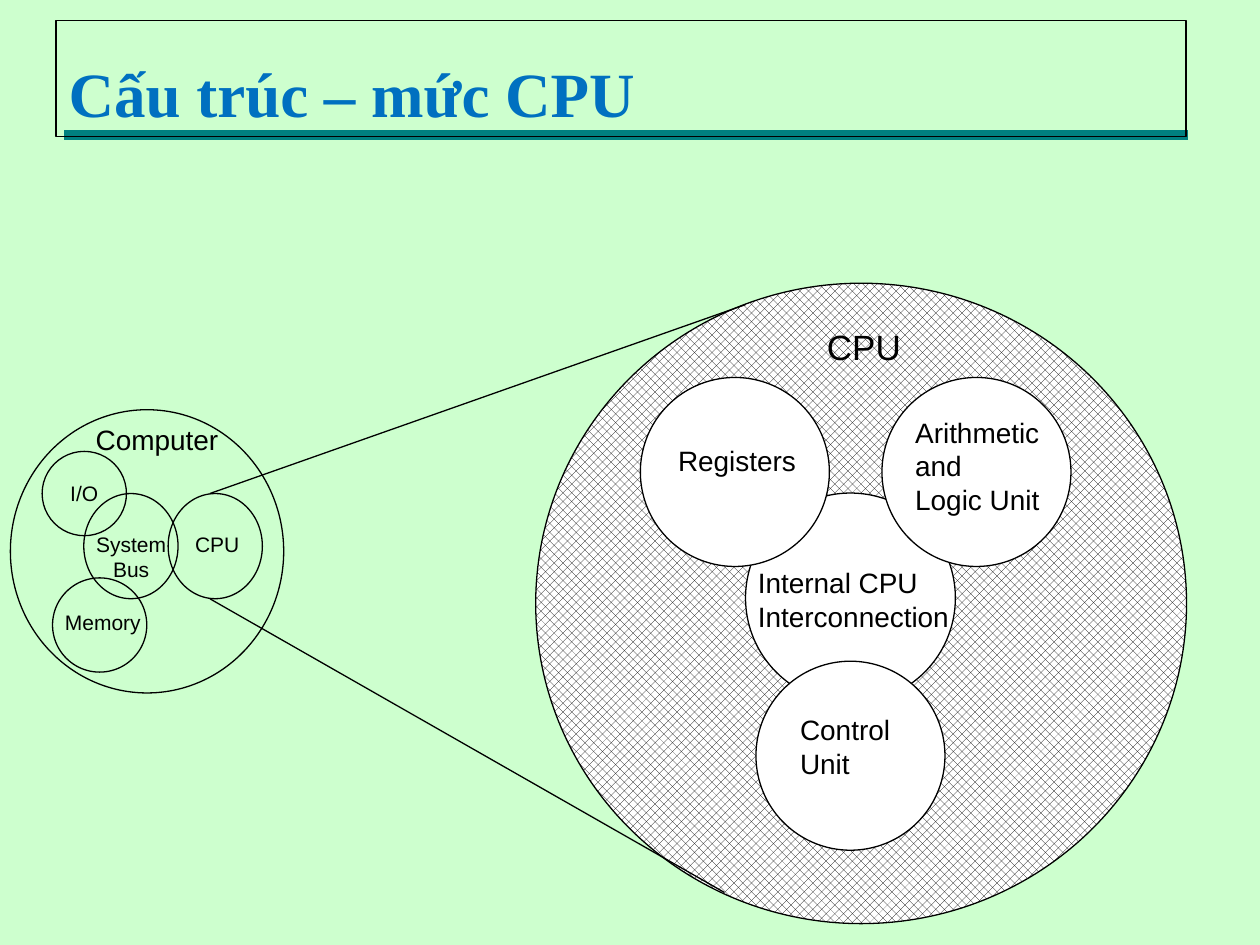
import pptx
import pptx.util
import pptx.dml.color
import pptx.enum.dml
import pptx.enum.shapes
import pptx.enum.text
import lxml.etree

Cm, Pt = pptx.util.Cm, pptx.util.Pt
ALIGN = pptx.enum.text.PP_ALIGN
ANCHOR = pptx.enum.text.MSO_ANCHOR
BLACK, WHITE, MINT = "000000", "FFFFFF", "CDFFCE"
TEAL, BLUE = "008080", "0070C0"


def color(code):
    return pptx.dml.color.RGBColor.from_string(code)


def stroke(line, code=BLACK, width=0.75):
    line.color.rgb = color(code)
    line.width = Pt(width)


def place(box, part):
    """Turn a part given relative to its box into slide lengths."""
    left, top, width, height = part
    return Cm(box[0] + left), Cm(box[1] + top), Cm(width), Cm(height)


def write(frame, text, size, mid):
    frame.text = text
    frame.word_wrap = False
    frame.vertical_anchor = ANCHOR.MIDDLE if mid else ANCHOR.TOP
    for para in frame.paragraphs:
        para.alignment = ALIGN.CENTER if mid else ALIGN.LEFT
        for run in para.runs:
            run.font.name = "Arial"
            run.font.size = Pt(size)
            run.font.color.rgb = color(BLACK)


def disc(slide, box, part, fill=None):
    oval = slide.shapes.add_shape(
        pptx.enum.shapes.MSO_SHAPE.OVAL, *place(box, part))
    oval.shadow.inherit = False
    stroke(oval.line)
    if fill:
        oval.fill.solid()
        oval.fill.fore_color.rgb = color(fill)
    else:
        oval.fill.background()
    return oval


def label(slide, box, part, text, size=16, mid=False):
    note = slide.shapes.add_textbox(*place(box, part))
    write(note.text_frame, text, size, mid)
    note.text_frame.auto_size = pptx.enum.text.MSO_AUTO_SIZE.SHAPE_TO_FIT_TEXT


def link(slide, start, end, code=BLACK, width=0.75):
    line = slide.shapes.add_connector(
        pptx.enum.shapes.MSO_CONNECTOR.STRAIGHT,
        *(Cm(n) for n in (*start, *end)))
    stroke(line.line, code, width)
    space = "{http://schemas.openxmlformats.org/drawingml/2006/main}"
    lxml.etree.SubElement(line.element.spPr, space + "effectLst")
    return line


def header(slide, box):
    title = slide.shapes.title
    title.left, title.top, title.width, title.height = place(
        box, (0, 0, *box[2:]))
    stroke(title.line)
    frame = title.text_frame
    frame.text = "Cấu trúc – mức CPU"
    frame.vertical_anchor = ANCHOR.BOTTOM
    para = frame.paragraphs[0]
    para.alignment = ALIGN.LEFT
    font = para.runs[0].font
    font.name, font.size, font.bold = "Times New Roman", Pt(36), True
    font.color.rgb = color(BLUE)
    base = box[1] + 2.3
    rule = link(slide, (box[0] + 0.17, base), (box[0] + 22.82, base), TEAL, 6)
    title.element.addprevious(rule.element)


def processor(slide, box):
    """Large circle with the parts of the CPU."""
    whole = disc(slide, box, (0, 0, *box[2:]))
    whole.fill.patterned()
    whole.fill.pattern = pptx.enum.dml.MSO_PATTERN.PERCENT_50
    whole.fill.fore_color.rgb = color(BLACK)
    whole.fill.back_color.rgb = color(WHITE)
    disc(slide, box, (4.23, 4.23, 4.23, 4.23), WHITE)
    for left, top in ((2.11, 1.9), (6.98, 1.9), (4.44, 7.62)):
        disc(slide, box, (left, top, 3.81, 3.81), WHITE)
    label(slide, box, (7.4, 2.54, 3.07, 2.29), "Arithmetic\nand\nLogic Unit")
    label(slide, box, (5.08, 8.53, 2.36, 1.63), "Control\nUnit")
    label(slide, box, (4.23, 5.57, 4.39, 1.63),
          "Internal CPU\nInterconnection")
    label(slide, box, (2.62, 3.1, 2.92, 0.94), "Registers")
    label(slide, box, (5.6, 0.73, 2.03, 1.09), "CPU", 20, True)


def computer(slide, box):
    """Small circle with the parts of the whole machine."""
    disc(slide, box, (0, 0, *box[2:]))
    ports = disc(slide, box, (0.64, 0.84, 1.7, 1.7))
    write(ports.text_frame, "I/O", 12, True)
    disc(slide, box, (0.85, 3.39, 1.9, 1.9))
    for left in (1.48, 3.18):
        disc(slide, box, (left, 1.69, 1.9, 2.12))
    label(slide, box, (1.47, 0.13, 3.02, 0.94), "Computer")
    label(slide, box, (3.46, 2.33, 1.42, 0.76), "CPU", 12, True)
    label(slide, box, (0.84, 3.91, 2.05, 0.76), "Memory", 12, True)
    label(slide, box, (1.46, 2.33, 1.95, 1.27), "System\nBus", 12, True)


def main():
    deck = pptx.Presentation()
    deck.slide_width, deck.slide_height = Cm(25.4), Cm(19.05)
    slide = deck.slides.add_slide(deck.slide_layouts[5])
    slide.background.fill.solid()
    slide.background.fill.fore_color.rgb = color(MINT)
    header(slide, (1.13, 0.42, 22.78, 2.33))
    processor(slide, (10.8, 5.71, 13.12, 12.91))
    computer(slide, (0.21, 8.26, 5.51, 5.71))
    link(slide, (4.23, 9.95), (15.03, 6.14))
    link(slide, (4.23, 12.07), (14.6, 17.99))
    deck.save("out.pptx")


if __name__ == "__main__":
    main()
